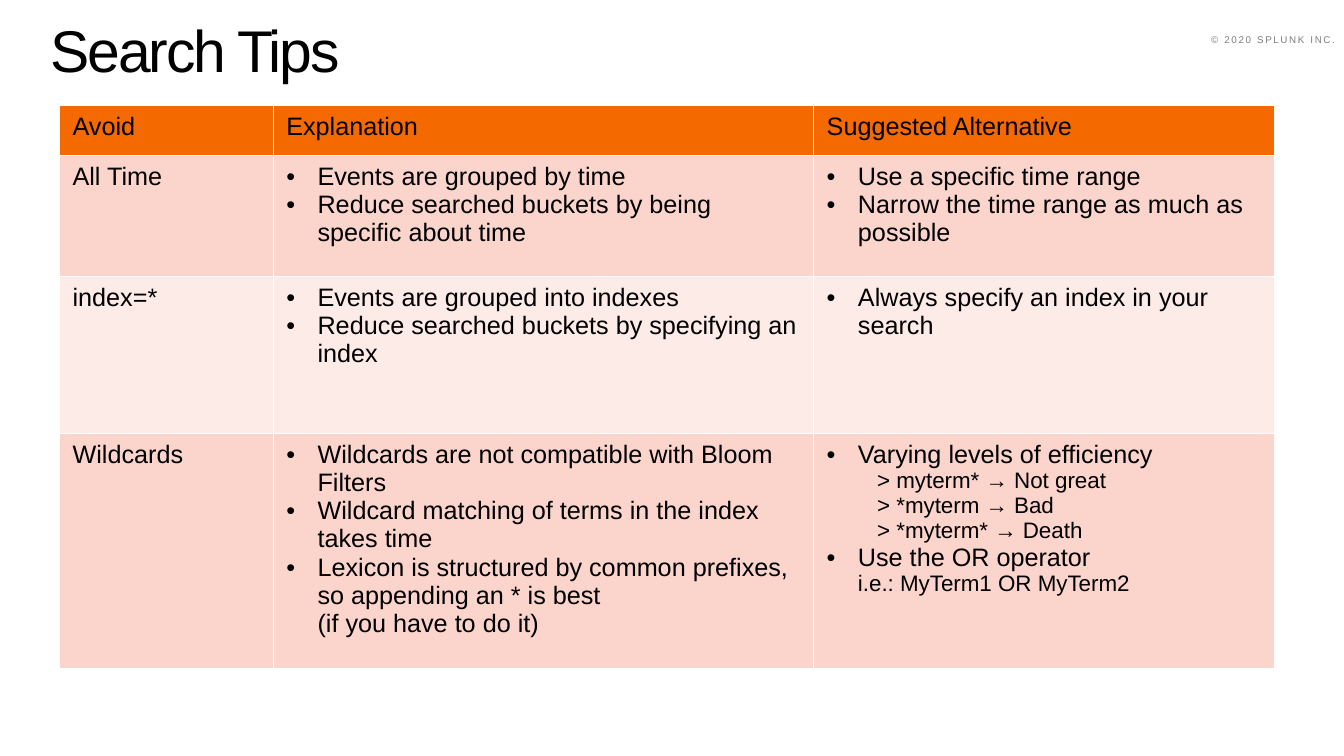
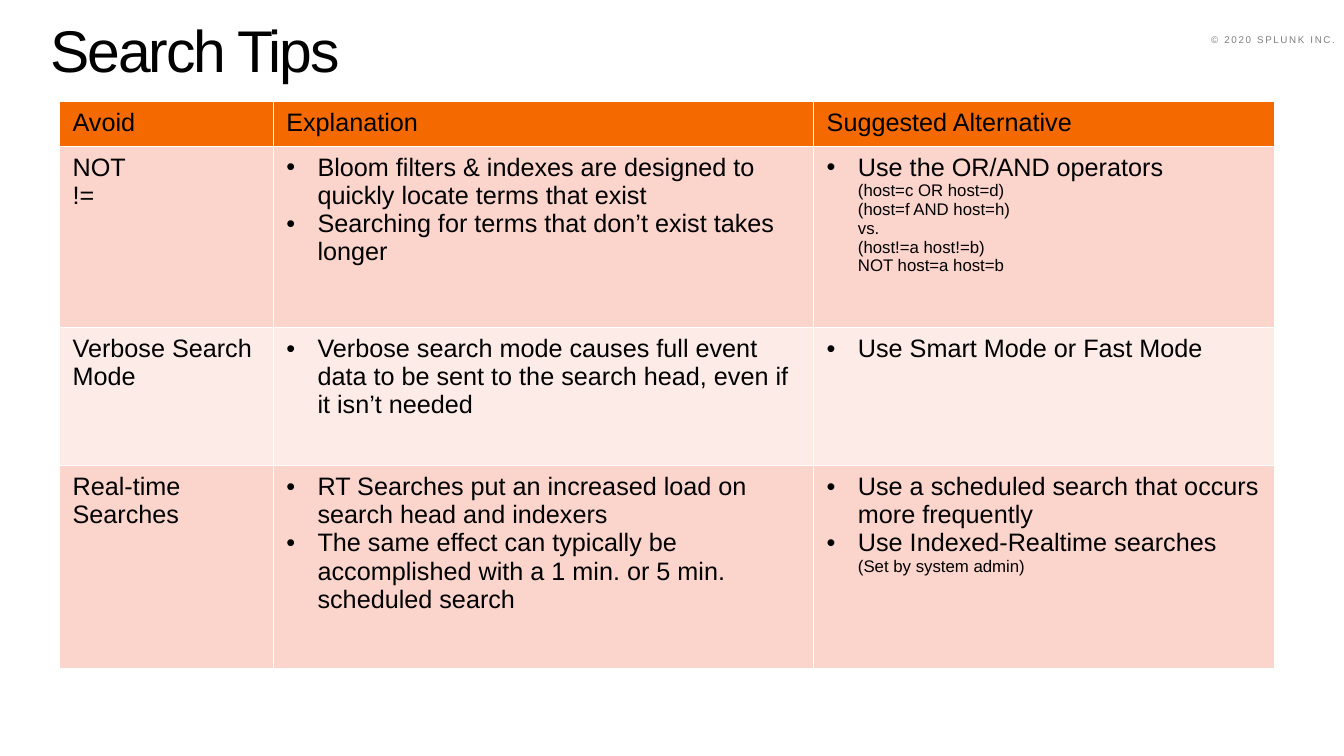
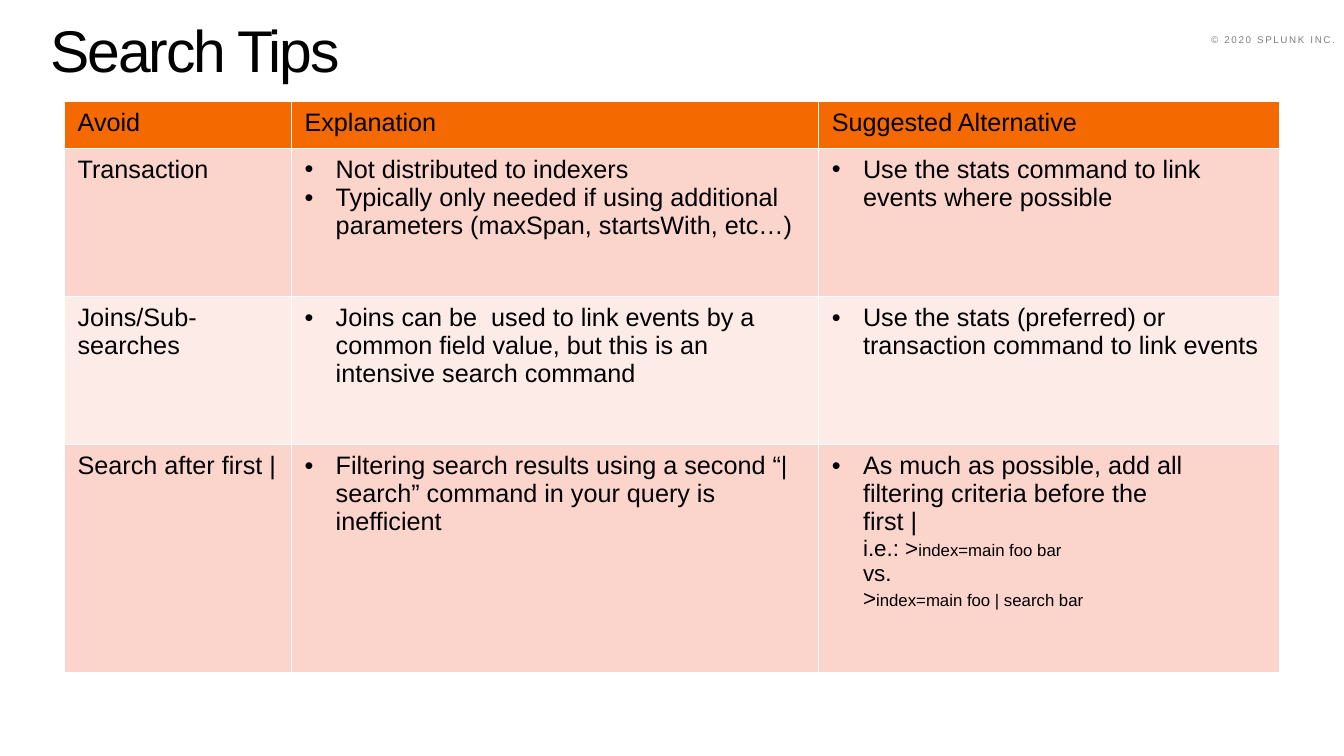
from dataclasses import dataclass

from lxml import etree
from pptx import Presentation
from pptx.dml.color import RGBColor
from pptx.enum.text import MSO_ANCHOR, MSO_AUTO_SIZE, PP_ALIGN
from pptx.oxml.ns import qn
from pptx.util import Emu, Pt

LEFT, RIGHT = PP_ALIGN.LEFT, PP_ALIGN.RIGHT
BOTTOM = MSO_ANCHOR.BOTTOM
NO_AUTOFIT = MSO_AUTO_SIZE.NONE

# Shared look: 100 px to the inch
EMU_PER_PX = 9144
FONT = "Arial"
BLACK, GREY, WHITE = "000000", "7F7F7F", "FFFFFF"
HEADER_FILL = "F56A00"
BAND_FILLS = ["FBD4CC", "FDEBE7"]
BODY_SIZE, SUB_SIZE, CODE_SIZE = 18, 16, 12
BULLET_INDENT, SUB_INDENT = 31, 50
CELL_MARGIN_X, CELL_MARGIN_Y = 13, 7
HEADINGS = ["Avoid", "Explanation", "Suggested Alternative"]


def px(length):
    return Emu(length * EMU_PER_PX)


def rgb(hex_colour):
    return RGBColor.from_string(hex_colour)


# Content model: a line holds (text, size) pieces
@dataclass
class Line:
    pieces: list
    level: int = 0
    bulleted: bool = False


def label(text):
    return [Line([(text, BODY_SIZE)])]


def bullet(text, *details):
    return Line([(text, BODY_SIZE), *details], bulleted=True)


def sub_line(text):
    return Line([(text, SUB_SIZE)], level=1)


def bullets(*texts):
    return [bullet(text) for text in texts]


# Text
def format_run(run, size, colour=BLACK, spacing=None):
    run.font.name = FONT
    run.font.size = Pt(size)
    run.font.bold = False
    run.font.color.rgb = rgb(colour)
    if spacing is not None:
        run._r.get_or_add_rPr().set("spc", str(spacing))


def set_indent(paragraph, line):
    properties = paragraph._p.get_or_add_pPr()
    if line.bulleted:
        properties.set("marL", str(px(BULLET_INDENT)))
        properties.set("indent", str(px(-BULLET_INDENT)))
        etree.SubElement(properties, qn("a:buFont"), typeface=FONT)
        etree.SubElement(properties, qn("a:buChar"), char="•")
    elif line.level:
        properties.set("marL", str(px(SUB_INDENT)))
        properties.set("indent", "0")
        etree.SubElement(properties, qn("a:buNone"))


def write_line(paragraph, line):
    paragraph.level = line.level
    set_indent(paragraph, line)
    for text, size in line.pieces:
        for number, part in enumerate(text.split("\n")):
            if number:
                paragraph.add_line_break()
                line_break = paragraph._p[-1]
                etree.SubElement(line_break, qn("a:rPr"), sz=str(size * 100))
            if part:
                run = paragraph.add_run()
                run.text = part
                format_run(run, size)


# Title and copyright line
def add_title(slide, text):
    title = slide.shapes.title
    title.left, title.top, title.width, title.height = map(px, (50, 34, 1234, 49))
    frame = title.text_frame
    frame.text = text
    frame.word_wrap = True
    frame.auto_size = NO_AUTOFIT
    frame.vertical_anchor = BOTTOM
    frame.margin_left = frame.margin_right = 0
    frame.margin_top = frame.margin_bottom = 0
    paragraph = frame.paragraphs[0]
    paragraph.alignment = LEFT
    paragraph.line_spacing = 0.8
    format_run(paragraph.runs[0], 42, spacing=-150)


def move_copyright_to_layout(slide, layout):
    copyright_line = slide.shapes.add_textbox(*map(px, (1188, 29, 146, 20)))
    frame = copyright_line.text_frame
    frame.text = "© 2020 SPLUNK INC."
    frame.word_wrap = False
    paragraph = frame.paragraphs[0]
    paragraph.alignment = RIGHT
    format_run(paragraph.runs[0], 7, GREY, spacing=120)
    layout.shapes.element.append(copyright_line.element)


# Table
def add_borders(cell):
    properties = cell._tc.get_or_add_tcPr()
    for side in ("a:lnL", "a:lnR", "a:lnT", "a:lnB"):
        border = etree.SubElement(properties, qn(side), w=str(Pt(1)))
        fill = etree.SubElement(border, qn("a:solidFill"))
        etree.SubElement(fill, qn("a:srgbClr"), val=WHITE)


def fill_cell(cell, lines, colour):
    cell.margin_left = cell.margin_right = px(CELL_MARGIN_X)
    cell.margin_top = cell.margin_bottom = px(CELL_MARGIN_Y)
    add_borders(cell)
    cell.fill.solid()
    cell.fill.fore_color.rgb = rgb(colour)
    frame = cell.text_frame
    for number, line in enumerate(lines):
        paragraph = frame.add_paragraph() if number else frame.paragraphs[0]
        write_line(paragraph, line)


def add_tips_table(slide, left, top, widths, heights, tips):
    rows = [[label(heading) for heading in HEADINGS]]
    rows += [[label(avoid), why, instead] for avoid, why, instead in tips]
    table = slide.shapes.add_table(
        len(rows), len(widths), px(left), px(top),
        px(sum(widths)), px(sum(heights))).table
    table.horz_banding = False
    for column, width in zip(table.columns, widths):
        column.width = px(width)
    for number, (row, height, contents) in enumerate(zip(table.rows, heights, rows)):
        row.height = px(height)
        colour = BAND_FILLS[(number - 1) % 2] if number else HEADER_FILL
        for cell, lines in zip(row.cells, contents):
            fill_cell(cell, lines, colour)


# Content of the three slides
SCOPE_TIPS = [
    ("All Time",
     bullets("Events are grouped by time",
             "Reduce searched buckets by being specific about time"),
     bullets("Use a specific time range",
             "Narrow the time range as much as possible")),
    ("index=*",
     bullets("Events are grouped into indexes",
             "Reduce searched buckets by specifying an index"),
     bullets("Always specify an index in your search")),
    ("Wildcards",
     bullets("Wildcards are not compatible with Bloom Filters",
             "Wildcard matching of terms in the index takes time",
             "Lexicon is structured by common prefixes, so appending an * is best\n"
             "(if you have to do it)"),
     [bullet("Varying levels of efficiency"),
      sub_line("> myterm* → Not great"),
      sub_line("> *myterm → Bad"),
      sub_line("> *myterm* → Death"),
      bullet("Use the OR operator\n", ("i.e.: MyTerm1 OR MyTerm2", SUB_SIZE))]),
]
MODE_TIPS = [
    ("NOT\n!=",
     bullets("Bloom filters & indexes are designed to quickly locate terms that exist",
             "Searching for terms that don’t exist takes longer"),
     [bullet("Use the OR/AND operators\n",
             ("(host=c OR host=d)\n(host=f AND host=h)\nvs.\n"
              "(host!=a host!=b)\nNOT host=a host=b", CODE_SIZE))]),
    ("Verbose Search Mode",
     bullets("Verbose search mode causes full event data to be sent to the "
             "search head, even if it isn’t needed"),
     bullets("Use Smart Mode or Fast Mode")),
    ("Real-time Searches",
     bullets("RT Searches put an increased load on search head and indexers",
             "The same effect can typically be accomplished with a 1 min. or "
             "5 min. scheduled search"),
     [bullet("Use a scheduled search that occurs more frequently"),
      bullet("Use Indexed-Realtime searches\n",
             ("(Set by system admin)", CODE_SIZE))]),
]
COMMAND_TIPS = [
    ("Transaction",
     bullets("Not distributed to indexers",
             "Typically only needed if using additional parameters "
             "(maxSpan, startsWith, etc…)"),
     bullets("Use the stats command to link events where possible")),
    ("Joins/Sub-searches",
     bullets("Joins can be  used to link events by a common field value, "
             "but this is an intensive search command"),
     bullets("Use the stats (preferred) or transaction command to link events")),
    ("Search after first |",
     bullets("Filtering search results using a second “| search” command in "
             "your query is inefficient"),
     [bullet("As much as possible, add all filtering criteria before the\nfirst |\n",
             ("i.e.: >", SUB_SIZE), ("index=main foo bar\n", CODE_SIZE),
             ("vs.\n>", SUB_SIZE), ("index=main foo | search bar", CODE_SIZE))]),
]
# Left, top, column widths, row heights, tips
TABLES = [
    (59, 105, [212, 536, 457], [49, 120, 156, 233], SCOPE_TIPS),
    (59, 101, [212, 536, 457], [44, 180, 137, 201], MODE_TIPS),
    (64, 101, [225, 523, 457], [46, 147, 147, 226], COMMAND_TIPS),
]


def main():
    deck = Presentation()
    deck.slide_width, deck.slide_height = px(1333), px(750)
    title_only = deck.slide_layouts[5]
    for table in TABLES:
        slide = deck.slides.add_slide(title_only)
        add_title(slide, "Search Tips")
        add_tips_table(slide, *table)
    move_copyright_to_layout(deck.slides[0], title_only)
    deck.save("out.pptx")


if __name__ == "__main__":
    main()
